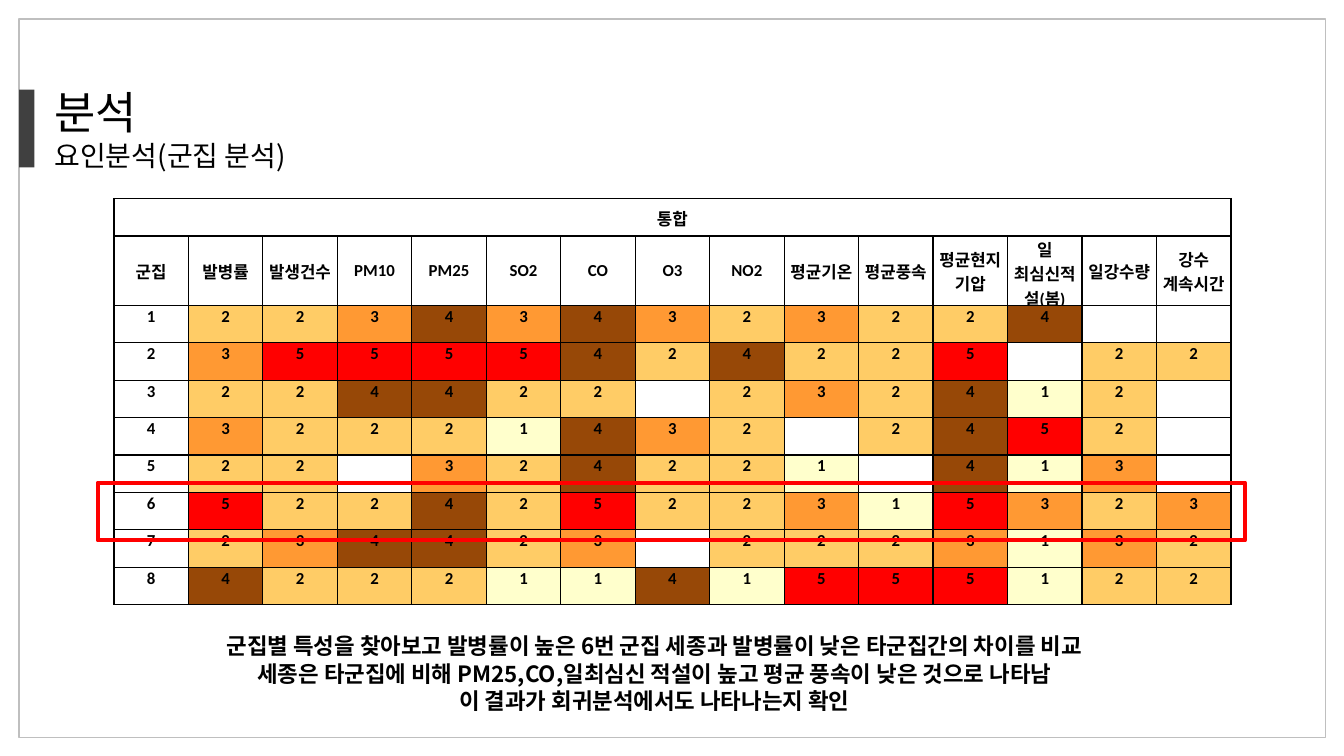
from lxml.etree import SubElement
from pptx import Presentation
from pptx.dml.color import RGBColor
from pptx.enum.shapes import MSO_SHAPE
from pptx.enum.text import MSO_ANCHOR, PP_ALIGN
from pptx.oxml import parse_xml
from pptx.oxml.ns import nsdecls, qn
from pptx.util import Inches, Pt

SANS = "Noto Sans CJK KR"
HEAD = ["군집", "발병률", "발생건수", "PM10", "PM25", "SO2", "CO", "O3", "NO2",
        "평균기온", "평균풍속", "평균현지기압", "일 최심신적설(봄)", "일강수량",
        "강수 계속시간"]
GRADES = ["223434323224--", "35555424225-22", "224422-232412-", "32221432-2452-",
          "22-324221-413-", "52242522315323", "234423-2223132", "42221141555122"]
FILLS = {"1": "FFFFCC", "2": "FFCC66", "3": "FF9933", "4": "974807", "5": "FF0000"}


def color(code):
    """Turn a hex string into a colour."""
    return RGBColor.from_string(code)


def add_box(slide, place, fill=None, line=None, width=1):
    """Add a rectangle with an optional fill and outline."""
    box = slide.shapes.add_shape(MSO_SHAPE.RECTANGLE, *map(Inches, place))
    box.shadow.inherit = False
    if fill:
        box.fill.solid()
        box.fill.fore_color.rgb = color(fill)
    else:
        box.fill.background()
    if line:
        box.line.color.rgb = color(line)
        box.line.width = Pt(width)
    else:
        box.line.fill.background()


def set_font(para, size, name, bold=False):
    """Set the black font of a paragraph."""
    font = para.font
    font.size, font.name, font.bold = Pt(size), name, bold
    font.color.rgb = color("000000")


def add_text(slide, place, lines, bold=False, align=PP_ALIGN.LEFT):
    """Add a text box from pairs of text and size."""
    frame = slide.shapes.add_textbox(*map(Inches, place)).text_frame
    frame.word_wrap = True
    for i, (text, size) in enumerate(lines):
        para = frame.add_paragraph() if i else frame.paragraphs[0]
        para.text = text
        para.alignment = align
        para.line_spacing = Pt(round(size * 1.22, 1))
        set_font(para, size, SANS, bold)
    return frame


def outline(frame):
    """Give the text a thin, half clear black outline."""
    for para in frame.paragraphs:
        for run in para.runs:
            run.font.fill.solid()
            run.font.fill.fore_color.rgb = color("000000")
            run.font._element.insert(0, parse_xml(
                f'<a:ln {nsdecls("a")} w="9525"><a:solidFill><a:srgbClr val="000000">'
                '<a:alpha val="50000"/></a:srgbClr></a:solidFill></a:ln>'))


def add_rules(cell):
    """Draw black borders around a cell."""
    props = cell._tc.get_or_add_tcPr()
    for i, side in enumerate(("lnL", "lnR", "lnT", "lnB")):
        props.insert(i, parse_xml(
            f'<a:{side} {nsdecls("a")} w="12700"><a:solidFill>'
            f'<a:srgbClr val="000000"/></a:solidFill></a:{side}>'))


def fill_cell(cell, text, fill=None, anchor=MSO_ANCHOR.TOP):
    """Write and style one table cell."""
    cell.margin_left = cell.margin_right = cell.margin_top = Inches(0.01)
    cell.margin_bottom = 0
    cell.vertical_anchor = anchor
    para = cell.text_frame.paragraphs[0]
    para.text = text
    para.alignment = PP_ALIGN.CENTER
    set_font(para, 12, "Calibri", True)
    if not text:
        SubElement(para._p, qn("a:endParaRPr"), sz="1200")
    if fill:
        cell.fill.solid()
        cell.fill.fore_color.rgb = color(fill)
    else:
        cell.fill.background()
    add_rules(cell)


def add_grid(slide):
    """Add the table of grades by cluster."""
    rows, cols = len(GRADES) + 2, len(HEAD)
    place = map(Inches, (1.13, 1.97, 11.08, 4.03))
    table = slide.shapes.add_table(rows, cols, *place).table
    table.first_row = table.horz_banding = False
    for col in table.columns:
        col.width = Inches(11.08 / cols)
    for row in table.rows:
        row.height = Inches((4.03 - 0.69) / (rows - 1))
    table.rows[1].height = Inches(0.69)
    for c, name in enumerate(HEAD):
        fill_cell(table.cell(0, c), "" if c else "통합", anchor=MSO_ANCHOR.MIDDLE)
        fill_cell(table.cell(1, c), name, anchor=MSO_ANCHOR.MIDDLE)
    table.cell(0, 0).merge(table.cell(0, cols - 1))
    for r, marks in enumerate(GRADES, 1):
        fill_cell(table.cell(r + 1, 0), str(r))
        for c, mark in enumerate(marks, 1):
            fill_cell(table.cell(r + 1, c), mark.strip("-"), FILLS.get(mark))


def main():
    """Build the slide and save it."""
    deck = Presentation()
    deck.slide_width, deck.slide_height = Inches(13.33), Inches(7.5)
    slide = deck.slides.add_slide(deck.slide_layouts[6])
    add_box(slide, (0.19, 0.19, 12.96, 7.13), line="BFBFBF")
    add_box(slide, (0.19, 0.89, 0.15, 0.77), fill="404040")
    title = add_text(slide, (0.44, 0.78, 5.31, 0.98),
                     [("분석", 32), ("요인분석(군집 분석)", 20)])
    outline(title)
    add_grid(slide)
    notes = ["군집별 특성을 찾아보고 발병률이 높은 6번 군집 세종과 발병률이 낮은 타군집간의 차이를 비교",
             "세종은 타군집에 비해 PM25,CO,일최심신 적설이 높고 평균 풍속이 낮은 것으로 나타남",
             "이 결과가 회귀분석에서도 나타나는지 확인"]
    add_text(slide, (0, 6.22, 12.98, 1.18), [(note, 16) for note in notes],
             True, PP_ALIGN.CENTER)
    add_box(slide, (0.97, 4.79, 11.38, 0.57), line="FF0000", width=3)
    deck.save("out.pptx")


if __name__ == "__main__":
    main()
